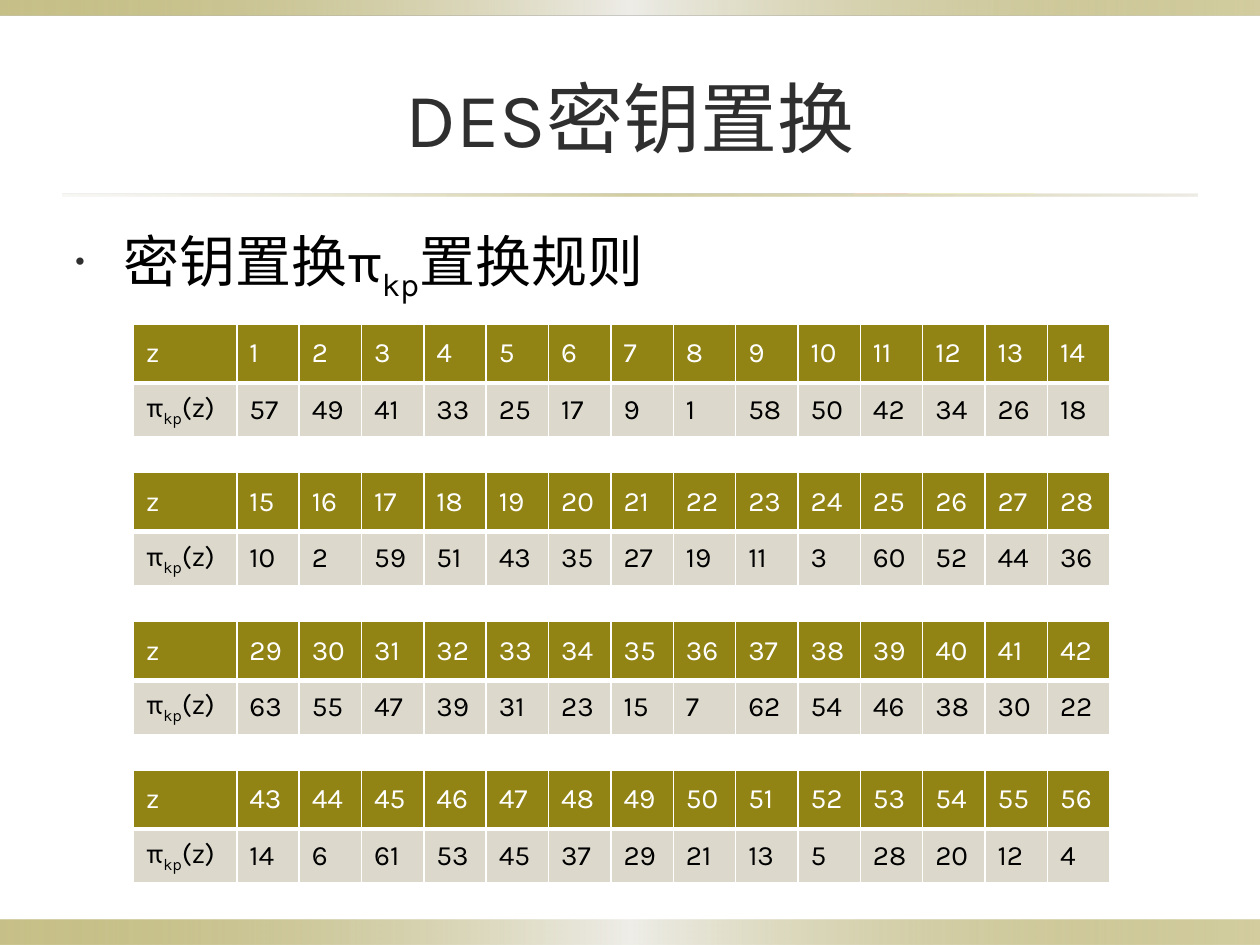
from lxml.etree import SubElement
from pptx import Presentation
from pptx.dml.color import RGBColor
from pptx.enum.shapes import MSO_SHAPE
from pptx.enum.text import MSO_ANCHOR, PP_ALIGN
from pptx.oxml.ns import qn
from pptx.util import Inches, Pt

FONT = "Karla"
OLIVE, SAND, INK, BLACK, WHITE = "918415", "DCD9CC", "2F2F2F", "000000", "FFFFFF"


def color(value):
    return RGBColor.from_string(value)


def write_runs(para, parts, size, text_color):
    """Add the parts as runs; the part "kp" is a subscript."""
    for part in parts:
        span = para.add_run()
        span.text = part
        span.font.size = Pt(size)
        span.font.name = FONT
        span.font.color.rgb = color(text_color)
        if part == "kp":
            span.font._element.set("baseline", "-25000")


deck = Presentation()
deck.slide_width, deck.slide_height = Inches(10), Inches(7.5)
page = deck.slides.add_slide(deck.slide_layouts[6])

# Gradient bands at the bottom and top, and the rule under the title
band_stops = [(0, OLIVE, 50), (50, "EEEDE8", 100), (100, OLIVE, 40)]
rule_stops = [(0, SAND, 20), (50, OLIVE, 40), (100, SAND, 50)]
for left, top, width, height, stops in [
    (0, 7.3, 10, 0.2, band_stops),
    (0, 0, 10, 0.12, band_stops),
    (0.5, 1.54, 9, 0.02, rule_stops),
]:
    band = page.shapes.add_shape(
        MSO_SHAPE.RECTANGLE, Inches(left), Inches(top), Inches(width), Inches(height))
    band.shadow.inherit = False
    band.line.fill.background()
    band.fill.gradient()
    band.fill.gradient_angle = 0
    stop_list = band._element.spPr.find(qn("a:gradFill")).find(qn("a:gsLst"))
    for old_stop in list(stop_list):
        stop_list.remove(old_stop)
    for position, shade, opacity in stops:
        stop = SubElement(stop_list, qn("a:gs"), pos=str(position * 1000))
        rgb = SubElement(stop, qn("a:srgbClr"), val=shade)
        SubElement(rgb, qn("a:alpha"), val=str(opacity * 1000))

# Title
title = page.shapes.add_textbox(Inches(0.5), Inches(0.3), Inches(9), Inches(1.25))
title.text_frame.word_wrap = True
title.text_frame.vertical_anchor = MSO_ANCHOR.MIDDLE
para = title.text_frame.paragraphs[0]
para.alignment = PP_ALIGN.CENTER
write_runs(para, ["DES密钥置换"], 44, INK)

# Bulleted heading
heading = page.shapes.add_textbox(Inches(0.5), Inches(1.75), Inches(9), Inches(0.75))
heading.text_frame.word_wrap = True
para = heading.text_frame.paragraphs[0]
properties = para._element.get_or_add_pPr()
properties.set("marL", str(Inches(0.38)))
properties.set("indent", str(-Inches(0.38)))
bullet_color = SubElement(properties, qn("a:buClr"))
SubElement(bullet_color, qn("a:srgbClr"), val=INK)
SubElement(properties, qn("a:buSzPct"), val="50000")
SubElement(properties, qn("a:buChar"), char="•")
write_runs(para, ["密钥置换π", "kp", "置换规则"], 32, BLACK)

# Permutation tables, 14 positions in each
permutation = [
    [57, 49, 41, 33, 25, 17, 9, 1, 58, 50, 42, 34, 26, 18],
    [10, 2, 59, 51, 43, 35, 27, 19, 11, 3, 60, 52, 44, 36],
    [63, 55, 47, 39, 31, 23, 15, 7, 62, 54, 46, 38, 30, 22],
    [14, 6, 61, 53, 45, 37, 29, 21, 13, 5, 28, 20, 12, 4],
]
count = 14
for block, images in enumerate(permutation):
    frame = page.shapes.add_table(
        2, count + 1, Inches(1.06), Inches(2.57 + 1.18 * block), Inches(7.75), Inches(0.9))
    table = frame.table
    for index, column in enumerate(table.columns):
        column.width = Inches((7.75 - 0.82) / count if index else 0.82)
    table.rows[0].height, table.rows[1].height = Inches(0.47), Inches(0.43)

    positions = range(block * count + 1, (block + 1) * count + 1)
    rows = [
        ([["z"]] + [[str(z)] for z in positions], OLIVE, WHITE, 3),
        ([["π", "kp", "(z)"]] + [[str(image)] for image in images], SAND, BLACK, 1),
    ]
    for row, (contents, fill, text_color, bottom_width) in enumerate(rows):
        for column, parts in enumerate(contents):
            cell = table.cell(row, column)
            cell.vertical_anchor = MSO_ANCHOR.MIDDLE
            write_runs(cell.text_frame.paragraphs[0], parts, 16, text_color)
            # Borders come before the fill in the cell properties
            cell_properties = cell._tc.get_or_add_tcPr()
            for side, width in [("L", 1), ("R", 1), ("T", 1), ("B", bottom_width)]:
                border = SubElement(cell_properties, qn(f"a:ln{side}"), w=str(Pt(width)))
                border_fill = SubElement(border, qn("a:solidFill"))
                SubElement(border_fill, qn("a:srgbClr"), val=WHITE)
            cell.fill.solid()
            cell.fill.fore_color.rgb = color(fill)

deck.save("out.pptx")
